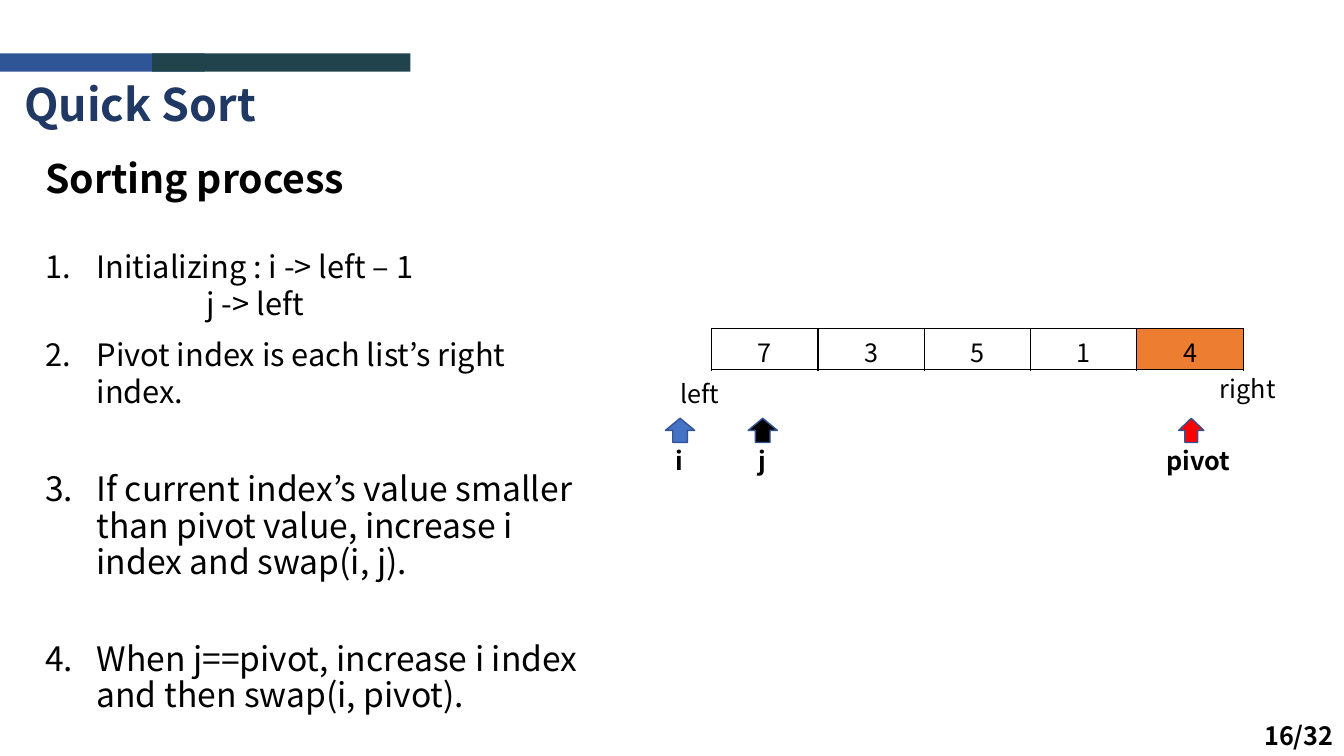
from lxml import etree
from pptx import Presentation
from pptx.dml.color import RGBColor
from pptx.enum.shapes import MSO_SHAPE
from pptx.enum.text import PP_ALIGN
from pptx.oxml.ns import qn
from pptx.util import Inches, Pt

RECTANGLE, UP_ARROW = MSO_SHAPE.RECTANGLE, MSO_SHAPE.UP_ARROW
LEFT, CENTER = PP_ALIGN.LEFT, PP_ALIGN.CENTER
FONT = "Noto Sans CJK KR"
COLORS = {"title": "203864", "blue": "2F5597", "dark": "21434B",
          "text": "000000", "white": "FFFFFF", "pivot_cell": "ED7D31",
          "i": "4472C4", "j": "000000", "pivot": "FF0000",
          "outline": "325491"}

# Content
BARS = [("blue", 0, 2.03), ("dark", 1.51, 2.56)]
VALUES = [7, 3, 5, 1, 4]
# text, left, top, width, height, format
LABELS = [
    ("Quick Sort", 0.14, 0.71, 2.65, 0.64,
     dict(size=32, bold=True, color="title")),
    ("left", 6.65, 3.7, 0.75, 0.4, {}),
    ("right", 12, 3.65, 0.91, 0.4, {}),
    ("16/32", 12.44, 7.1, 0.92, 0.4, dict(bold=True)),
]
# name, arrow left, arrow width, label left, label width
POINTERS = [("pivot", 11.69, 0.25, 11.47, 0.91),
            ("i", 6.6, 0.29, 6.6, 1.05),
            ("j", 7.42, 0.29, 7.42, 1.05)]
STEPS = [
    ("Sorting process", dict(size=28, bold=True)),
    ("Initializing : i -> left – 1", dict(size=22, before=33.5, number=1)),
    ("j -> left", dict(size=22, indent=1.6)),
    ("Pivot index is each list’s right index.",
     dict(size=22, before=10, number=2)),
    ("If current index’s value smaller than pivot value, "
     "increase i index and swap(i, j).",
     dict(size=24, spacing=0.9, before=45, number=3)),
    ("When j==pivot, increase i index and then swap(i, pivot).",
     dict(size=24, spacing=0.9, before=43.5, number=4)),
]
ARROW_TOP, ARROW_HEIGHT, POINTER_LABEL_TOP = 4.15, 0.24, 4.37
TABLE_LEFT, TABLE_TOP, TABLE_WIDTH, ROW_HEIGHT = 7.06, 3.26, 5.27, 0.41


def rgb(name):
    return RGBColor.from_string(COLORS[name])


def write(paragraph, text, size=18, bold=False, color="text", align=LEFT,
          spacing=1.0, before=0, number=None, indent=0):
    paragraph.alignment = align
    paragraph.space_before = Pt(before)
    paragraph.line_spacing = spacing
    properties = paragraph._p.get_or_add_pPr()
    if number:
        properties.set("marL", str(Inches(0.51)))
        properties.set("indent", str(Inches(-0.51)))
        etree.SubElement(properties, qn("a:buFont"), typeface="+mj-lt")
        etree.SubElement(properties, qn("a:buAutoNum"), type="arabicPeriod",
                         startAt=str(number))
    elif indent:
        properties.set("marL", str(Inches(indent)))
        properties.set("indent", "0")
    run = paragraph.add_run()
    run.text = text
    run.font.name, run.font.size, run.font.bold = FONT, Pt(size), bold
    run.font.color.rgb = rgb(color)


def add_text(slide, left, top, width, height, items):
    box = slide.shapes.add_textbox(Inches(left), Inches(top),
                                   Inches(width), Inches(height))
    frame = box.text_frame
    frame.word_wrap = True
    for index, (text, style) in enumerate(items):
        paragraph = frame.add_paragraph() if index else frame.paragraphs[0]
        write(paragraph, text, **style)


def add_block(slide, kind, left, top, width, height, fill, line=None):
    shape = slide.shapes.add_shape(kind, Inches(left), Inches(top),
                                   Inches(width), Inches(height))
    shape.shadow.inherit = False
    shape.fill.solid()
    shape.fill.fore_color.rgb = rgb(fill)
    if line:
        shape.line.color.rgb = rgb(line)
        shape.line.width = Pt(1)
    else:
        shape.line.fill.background()


def add_borders(cell):
    properties = cell._tc.get_or_add_tcPr()
    for index, side in enumerate(("a:lnL", "a:lnR", "a:lnT", "a:lnB")):
        border = etree.Element(qn(side), w=str(Pt(1)))
        fill = etree.SubElement(border, qn("a:solidFill"))
        etree.SubElement(fill, qn("a:srgbClr"), val=COLORS["text"])
        properties.insert(index, border)


def add_list_table(slide):
    table = slide.shapes.add_table(
        1, len(VALUES), Inches(TABLE_LEFT), Inches(TABLE_TOP),
        Inches(TABLE_WIDTH), Inches(ROW_HEIGHT)).table
    table.first_row = table.horz_banding = False
    table.rows[0].height = Inches(ROW_HEIGHT)
    for index, value in enumerate(VALUES):
        cell = table.cell(0, index)
        cell.margin_top, cell.margin_bottom = Inches(0.05), 0
        cell.fill.solid()
        is_pivot = index == len(VALUES) - 1
        cell.fill.fore_color.rgb = rgb("pivot_cell" if is_pivot else "white")
        add_borders(cell)
        write(cell.text_frame.paragraphs[0], str(value), align=CENTER)


def main():
    presentation = Presentation()
    presentation.slide_width = Inches(13.33)
    presentation.slide_height = Inches(7.5)
    slide = presentation.slides.add_slide(presentation.slide_layouts[6])

    # Header bars
    for color, left, width in BARS:
        add_block(slide, RECTANGLE, left, 0.53, width, 0.18, color)

    # Title, list ends and page number
    for text, left, top, width, height, style in LABELS:
        add_text(slide, left, top, width, height, [(text, style)])

    # List and its index pointers
    add_list_table(slide)
    for name, left, width, label_left, label_width in POINTERS:
        add_block(slide, UP_ARROW, left, ARROW_TOP, width, ARROW_HEIGHT,
                  name, "outline")
        add_text(slide, label_left, POINTER_LABEL_TOP, label_width, 0.4,
                 [(name, dict(bold=True))])

    # Sorting steps
    add_text(slide, 0.35, 1.48, 5.67, 5.75, STEPS)
    presentation.save("out.pptx")


if __name__ == "__main__":
    main()
